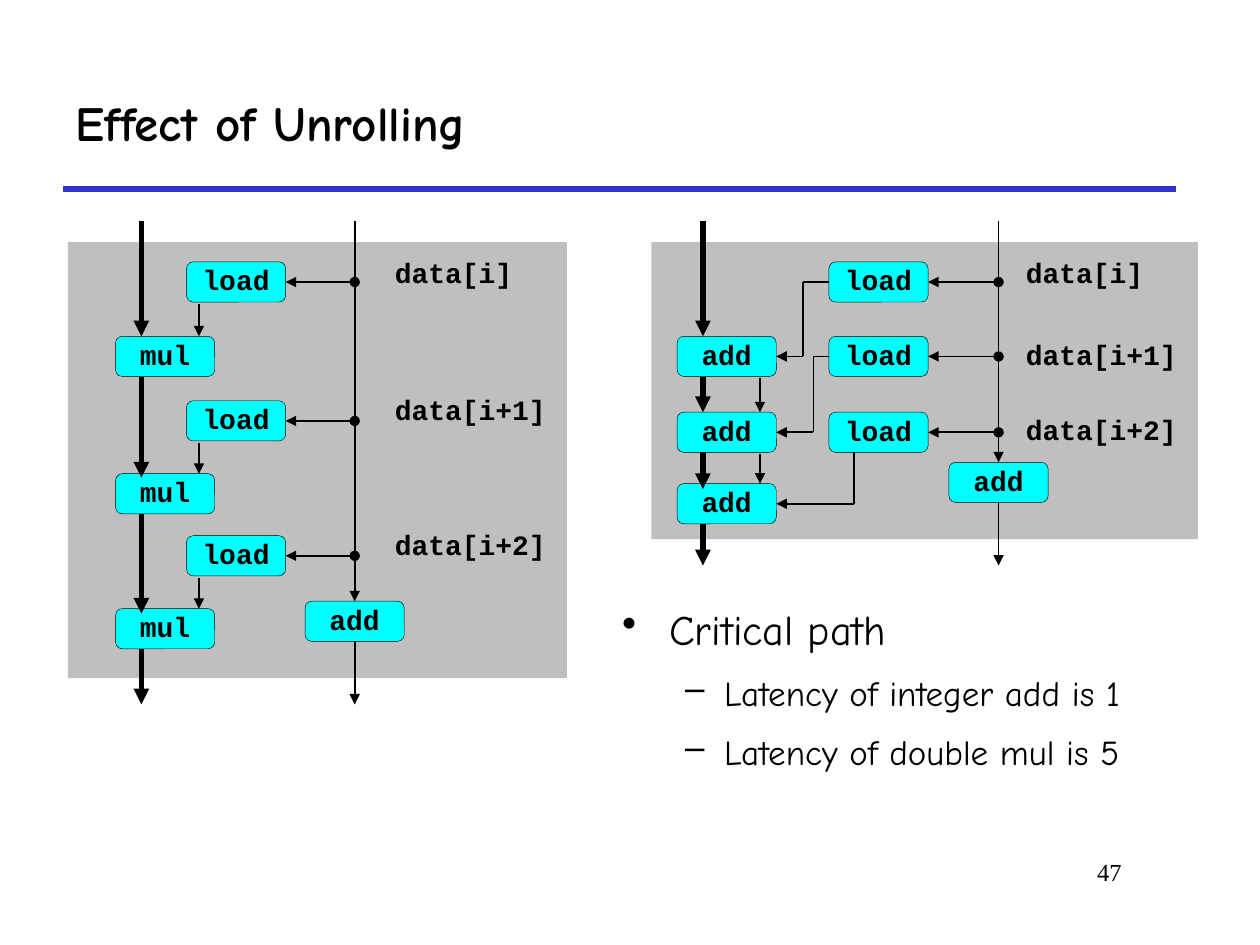
from lxml.etree import SubElement
from pptx import Presentation
from pptx.dml.color import RGBColor
from pptx.enum.shapes import MSO_CONNECTOR, MSO_SHAPE
from pptx.enum.text import MSO_ANCHOR, PP_ALIGN
from pptx.oxml.ns import qn
from pptx.util import Cm, Pt

BLACK = RGBColor(0x00, 0x00, 0x00)
BLUE = RGBColor(0x33, 0x33, 0xCC)
GRAY = RGBColor(0xBF, 0xBF, 0xBF)
CYAN = RGBColor(0x00, 0xFF, 0xFF)
HAND, CODE, SERIF = "Comic Neue", "Courier New", "Times New Roman"
TOP, LEFT, BOTTOM, RIGHT = range(4)

# Content, all lengths in cm
TITLE = "Effect of Unrolling"
PAGE_NUMBER = "47"
POINTS = [(0, "Critical path"),
          (1, "Latency of integer add is 1"),
          (1, "Latency of double mul is 5")]
LEVELS = [dict(bullet="•", size=24, margin=0.95, hang=0.95, before=6),
          dict(bullet="–", size=20, margin=2.06, hang=0.79, before=5)]
LABELS = ["data[i]", "data[i+1]", "data[i+2]"]

NODE_W, NODE_H = 2.0, 0.81
FLOW_TOP = 4.45
MULTIPLY = dict(
    panel=(1.37, 4.88, 10.06, 8.79), operation="mul",
    load_left=3.76, load_tops=[5.28, 8.08, 10.8],
    op_left=2.33, op_tops=[6.78, 9.55, 12.27],
    label_left=7.71, label_tops=[5.11, 7.87, 10.59],
    counter=(6.15, 12.12), chain_x=2.85, chain_ends=[6.78, 9.63, 12.37], flow_end=14.2)
ADD = dict(
    panel=(13.13, 4.88, 11.02, 5.99), operation="add",
    load_left=16.71, load_tops=[5.28, 6.78, 8.31],
    op_left=13.65, op_tops=[6.78, 8.31, 9.75],
    label_left=20.43, label_tops=[5.11, 6.76, 8.26],
    counter=(19.13, 9.32), chain_x=14.17, chain_ends=[6.78, 8.31, 9.86], flow_end=11.4)
MULTIPLY_FEED_X = 4.01
ADD_FEED_X = 15.32
ELBOW_XS = [16.19, 16.4]
LAST_ELBOW_X = 17.22

deck = Presentation()
deck.slide_width, deck.slide_height = Cm(25.4), Cm(19.05)
page = deck.slides.add_slide(deck.slide_layouts[6])


def style_text(para, size, font, bold=False):
    for span in para.runs:
        span.font.size, span.font.name, span.font.bold = Pt(size), font, bold
        span.font.color.rgb = BLACK


def add_text(text, place, size, font, bold=False, spacing=None,
             align=PP_ALIGN.LEFT, anchor=MSO_ANCHOR.TOP):
    frame = page.shapes.add_textbox(*map(Cm, place)).text_frame
    frame.word_wrap = True
    frame.vertical_anchor = anchor
    frame.text = text
    para = frame.paragraphs[0]
    para.alignment, para.line_spacing = align, spacing
    style_text(para, size, font, bold)


def add_line(start, end, width=1, color=BLACK, head=None, tail=None, begin=None, finish=None):
    """begin and finish are optional (shape, side) joints."""
    line = page.shapes.add_connector(MSO_CONNECTOR.STRAIGHT, *map(Cm, (*start, *end)))
    line.line.width = Pt(width)
    line.line.color.rgb = color
    outline = line.line._get_or_add_ln()
    for tag, kind in (("a:headEnd", head), ("a:tailEnd", tail)):
        if kind:
            SubElement(outline, qn(tag), type=kind)
    SubElement(line._element.spPr, qn("a:effectLst"))
    if begin:
        line.begin_connect(*begin)
    if finish:
        line.end_connect(*finish)


def add_node(text, left, top):
    node = page.shapes.add_shape(MSO_SHAPE.ROUNDED_RECTANGLE,
                                 *map(Cm, (left, top, NODE_W, NODE_H)))
    node.shadow.inherit = False
    node.fill.solid()
    node.fill.fore_color.rgb = CYAN
    node.line.color.rgb = BLACK
    node.line.width = Pt(0.25)
    frame = node.text_frame
    frame.margin_left = frame.margin_right = frame.margin_top = frame.margin_bottom = 0
    frame.vertical_anchor = MSO_ANCHOR.MIDDLE
    frame.text = text
    para = frame.paragraphs[0]
    para.alignment, para.line_spacing = PP_ALIGN.CENTER, 0.9
    style_text(para, 16, CODE, True)
    return node


def add_diagram(panel, operation, load_left, load_tops, op_left, op_tops,
                label_left, label_tops, counter, chain_x, chain_ends, flow_end):
    """Draw what both diagrams share; return the load and operation nodes."""
    back = page.shapes.add_shape(MSO_SHAPE.RECTANGLE, *map(Cm, panel))
    back.shadow.inherit = False
    back.fill.solid()
    back.fill.fore_color.rgb = GRAY
    back.line.fill.background()

    loads = [add_node("load", load_left, top) for top in load_tops]
    operations = [add_node(operation, op_left, top) for top in op_tops]
    count = add_node("add", *counter)

    # Index flow on the right and its taps into the loads
    index_x = counter[0] + NODE_W / 2
    add_line((index_x, FLOW_TOP), (index_x, counter[1]), tail="triangle", finish=(count, TOP))
    add_line((index_x, counter[1] + NODE_H), (index_x, flow_end), tail="triangle",
             begin=(count, BOTTOM))
    for load, top, label, label_top in zip(loads, load_tops, LABELS, label_tops):
        middle = top + NODE_H / 2
        add_line((index_x, middle), (load_left + NODE_W, middle),
                 head="oval", tail="triangle", finish=(load, RIGHT))
        add_text(label, (label_left, label_top, 3.73, 0.86), 16, CODE, True, 0.9)

    # Critical chain on the left
    starts = [FLOW_TOP] + [top + NODE_H for top in op_tops]
    for start, end in zip(starts, chain_ends + [flow_end]):
        add_line((chain_x, start), (chain_x, end), width=3, tail="triangle")
    return loads, operations


# Title, rule and page number
add_line((1.27, 3.81), (23.7, 3.81), width=3, color=BLUE)
add_text(PAGE_NUMBER, (19.25, 17.15, 3.61, 1.27), 14, SERIF, align=PP_ALIGN.RIGHT)
add_text(TITLE, (1.27, 1.27, 22.43, 2.54), 28, HAND, True, 0.9, anchor=MSO_ANCHOR.MIDDLE)

# Multiply diagram: each load feeds the operation below it
add_diagram(**MULTIPLY)
for load_top, op_top in zip(MULTIPLY["load_tops"], MULTIPLY["op_tops"]):
    add_line((MULTIPLY_FEED_X, load_top + NODE_H + 0.04), (MULTIPLY_FEED_X, op_top),
             tail="triangle")

# Add diagram: loads feed the chain through elbows
loads, adds = add_diagram(**ADD)
load_left, add_right = ADD["load_left"], ADD["op_left"] + NODE_W
load_middles, add_middles = ([top + NODE_H / 2 for top in ADD[key]]
                             for key in ("load_tops", "op_tops"))
for load, target, x, start, end in zip(loads, adds, ELBOW_XS, load_middles, add_middles):
    add_line((load_left, start), (x, start), begin=(load, LEFT))
    add_line((x, start), (x, end))
    add_line((x, end), (add_right, end), tail="triangle", finish=(target, RIGHT))
add_line((LAST_ELBOW_X, ADD["load_tops"][-1] + NODE_H), (LAST_ELBOW_X, add_middles[-1]))
add_line((LAST_ELBOW_X, add_middles[-1]), (add_right, add_middles[-1]),
         tail="triangle", finish=(adds[-1], RIGHT))
for upper, lower in zip(ADD["op_tops"], ADD["op_tops"][1:]):
    add_line((ADD_FEED_X, upper + NODE_H + 0.04), (ADD_FEED_X, lower), tail="triangle")

# Bullet list
frame = page.shapes.add_textbox(Cm(12.29), Cm(11.84), Cm(12.7), Cm(4.36)).text_frame
frame.word_wrap = True
for number, (level, text) in enumerate(POINTS):
    para = frame.add_paragraph() if number else frame.paragraphs[0]
    look = LEVELS[level]
    para.text = text
    para.level = level
    para.line_spacing = 1.2
    para.space_before = Pt(look["before"] if number else 0)
    properties = para._p.get_or_add_pPr()
    properties.set("marL", str(Cm(look["margin"])))
    properties.set("indent", str(-Cm(look["hang"])))
    SubElement(properties, qn("a:buChar"), char=look["bullet"])
    style_text(para, look["size"], HAND)

deck.save("out.pptx")
